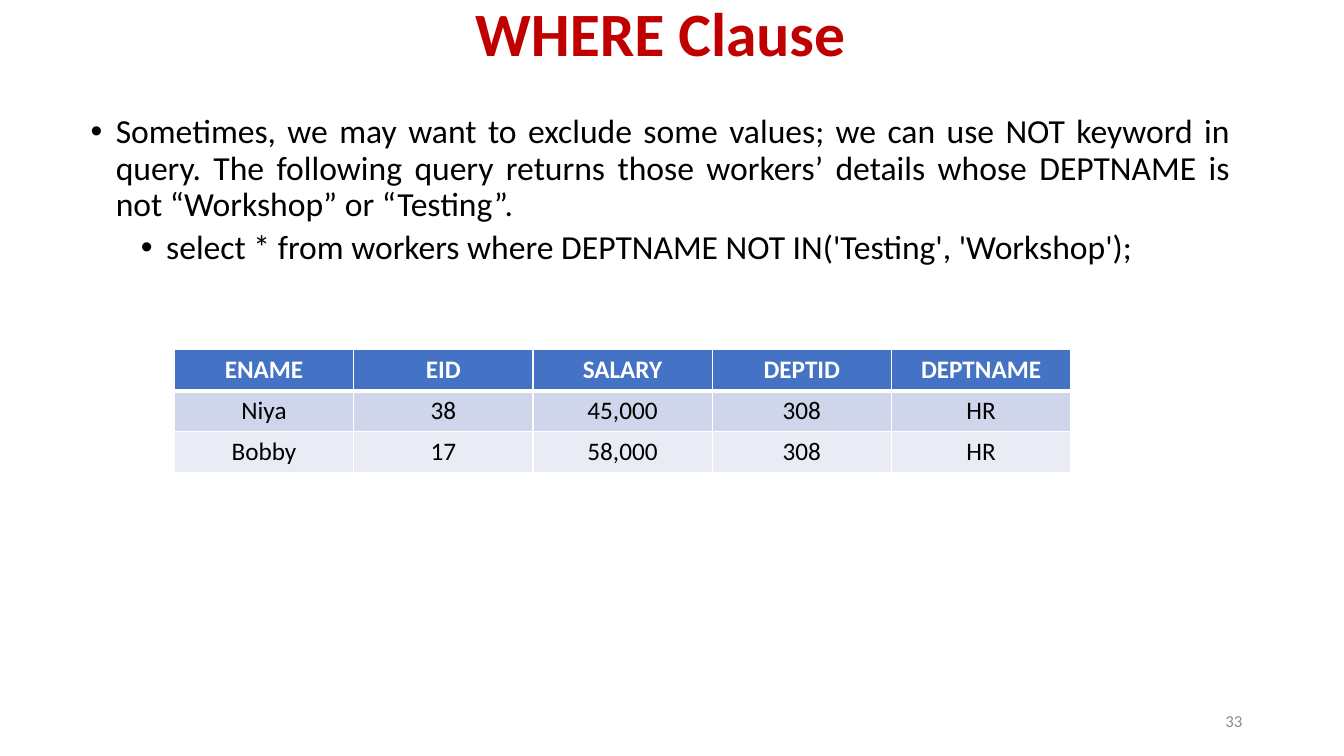
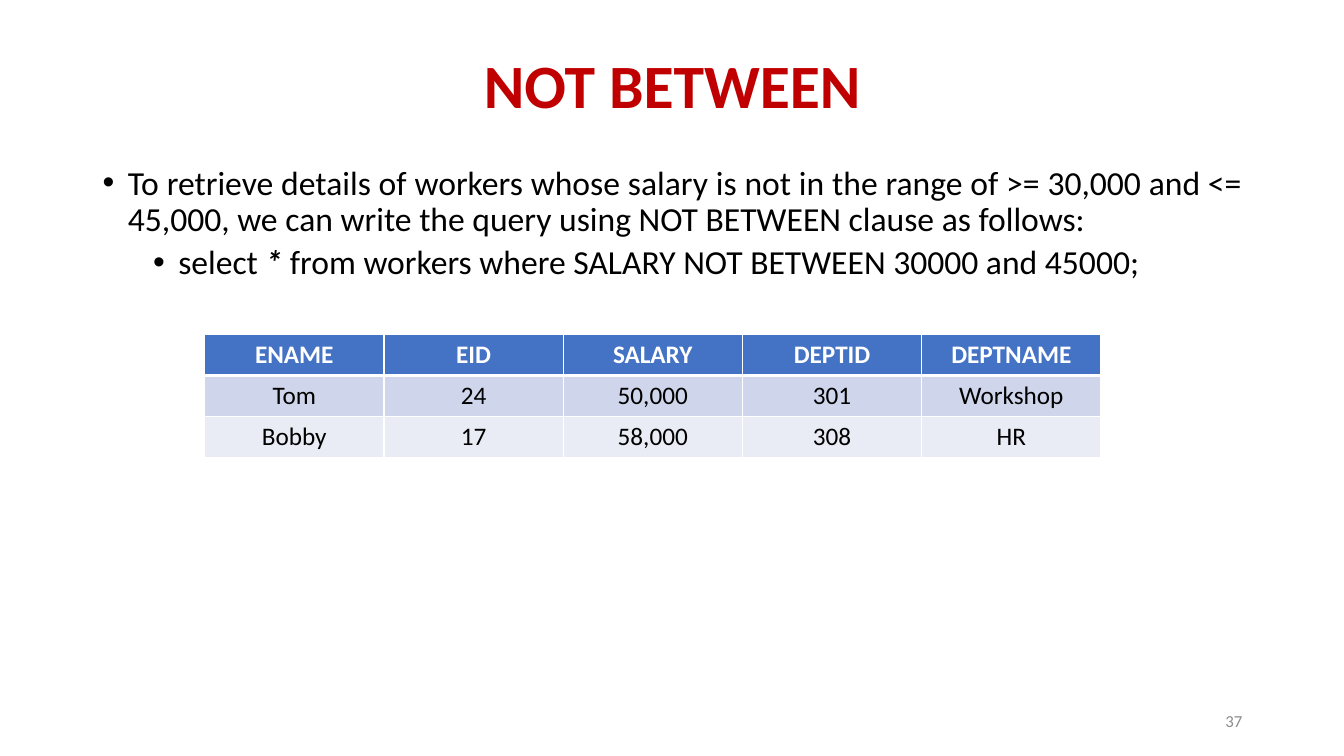
from lxml import etree
from pptx import Presentation
from pptx.dml.color import RGBColor
from pptx.enum.text import MSO_ANCHOR, MSO_AUTO_SIZE, PP_ALIGN
from pptx.oxml.ns import qn
from pptx.util import Inches, Pt

CENTER, RIGHT, JUSTIFY = PP_ALIGN.CENTER, PP_ALIGN.RIGHT, PP_ALIGN.JUSTIFY
MIDDLE, TOP = MSO_ANCHOR.MIDDLE, MSO_ANCHOR.TOP
NO_FIT = MSO_AUTO_SIZE.NONE

FONT = "Calibri"
COLORS = {
    "title": "C00000",
    "text": "000000",
    "number": "8C8C8C",
    "white": "FFFFFF",
    "header": "4472C4",
    "odd": "CFD5EA",
    "even": "E9EBF5",
}
HEADERS = ["ENAME", "EID", "SALARY", "DEPTID", "DEPTNAME"]
LINE_SPACING = 0.9
WIDTH = 11.5


def add_text(p, text, size, color="text", align=None, bold=False, italic=False):
    if align is not None:
        p.alignment = align
    r = p.add_run()
    r.text = text
    r.font.name = FONT
    r.font.size = Pt(size)
    r.font.bold = bold
    r.font.italic = italic
    r.font.color.rgb = RGBColor.from_string(COLORS[color])


def set_bullet(p, level):
    p.level = level
    pPr = p._p.get_or_add_pPr()
    pPr.set("marL", str(Inches(0.25 + 0.5 * level)))
    pPr.set("indent", str(Inches(-0.25)))
    etree.SubElement(pPr, qn("a:buFont")).set("typeface", "Arial")
    etree.SubElement(pPr, qn("a:buChar")).set("char", "•")


def set_borders(cell, **widths):
    tcPr = cell._tc.get_or_add_tcPr()
    for side in "LRTB":
        ln = etree.SubElement(tcPr, qn(f"a:ln{side}"), w=str(Pt(widths.get(side, 1))))
        fill = etree.SubElement(ln, qn("a:solidFill"))
        etree.SubElement(fill, qn("a:srgbClr"), val=COLORS["white"])


class Deck:
    def __init__(self):
        self.prs = Presentation()
        self.prs.slide_width = Inches(13.33)
        self.prs.slide_height = Inches(7.5)
        self.s = None

    def new_slide(self, title, left, top, number):
        self.s = self.prs.slides.add_slide(self.prs.slide_layouts[5])
        self.title(title, left, top)
        self.number(number)

    def title(self, text, left, top):
        sp = self.s.shapes.title
        sp.left, sp.top = Inches(left), Inches(top)
        sp.width, sp.height = Inches(WIDTH), Inches(1.45)
        tf = sp.text_frame
        tf.auto_size = NO_FIT
        tf.vertical_anchor = MIDDLE
        p = tf.paragraphs[0]
        p.line_spacing = LINE_SPACING
        add_text(p, text, 44, "title", CENTER, bold=True)

    def box(self, left, top, width, height, anchor=TOP):
        sp = self.s.shapes.add_textbox(
            Inches(left), Inches(top), Inches(width), Inches(height))
        tf = sp.text_frame
        tf.word_wrap = True
        tf.vertical_anchor = anchor
        return tf

    def number(self, number):
        tf = self.box(9.42, 6.95, 3, 0.4, MIDDLE)
        add_text(tf.paragraphs[0], str(number), 12, "number", RIGHT)

    def bullets(self, left, top, *items):
        tf = self.box(left, top, WIDTH, 4.76)
        for level, runs in enumerate(items):
            p = tf.add_paragraph() if level else tf.paragraphs[0]
            set_bullet(p, level)
            p.line_spacing = LINE_SPACING
            p.space_before = Pt(5 * level)
            for text, strong in runs:
                add_text(p, text, 24, align=JUSTIFY, bold=strong, italic=strong)

    def table(self, left, top, *records):
        rows = [HEADERS, *records]
        table = self.s.shapes.add_table(
            len(rows), len(HEADERS), Inches(left), Inches(top),
            Inches(8.89), Inches(1.22)).table
        for i, row in enumerate(rows):
            header = i == 0
            fill = "header" if header else "odd" if i % 2 else "even"
            for j, text in enumerate(row):
                cell = table.cell(i, j)
                set_borders(cell, B=3 if header else 1, T=3 if i == 1 else 1)
                cell.fill.solid()
                cell.fill.fore_color.rgb = RGBColor.from_string(COLORS[fill])
                add_text(cell.text_frame.paragraphs[0], text, 18,
                         "white" if header else "text", CENTER, bold=header)


def main():
    deck = Deck()

    deck.new_slide("WHERE Clause", 0.8, -0.36, 33)
    deck.bullets(
        0.8, 1.09,
        [("Sometimes, we may want to exclude some values; we can use NOT keyword "
          "in query. The following query returns those workers’ details whose "
          "DEPTNAME is not “Workshop” or “Testing”.", False)],
        [("select * from workers where DEPTNAME NOT IN('Testing', 'Workshop');",
          False)])
    deck.table(1.73, 3.47,
               ["Niya", "38", "45,000", "308", "HR"],
               ["Bobby", "17", "58,000", "308", "HR"])

    deck.new_slide("NOT BETWEEN", 0.92, 0.15, 37)
    deck.bullets(
        0.92, 1.6,
        [("To retrieve details of workers whose salary is not in the range of "
          ">= 30,000 and <= 45,000, we can write the query using NOT BETWEEN "
          "clause as follows:", False)],
        [("select ", False), ("* ", True),
         ("from workers where SALARY NOT BETWEEN 30000 and 45000;", False)])
    deck.table(2.03, 3.32,
               ["Tom", "24", "50,000", "301", "Workshop"],
               ["Bobby", "17", "58,000", "308", "HR"])

    deck.prs.save("out.pptx")


if __name__ == "__main__":
    main()
